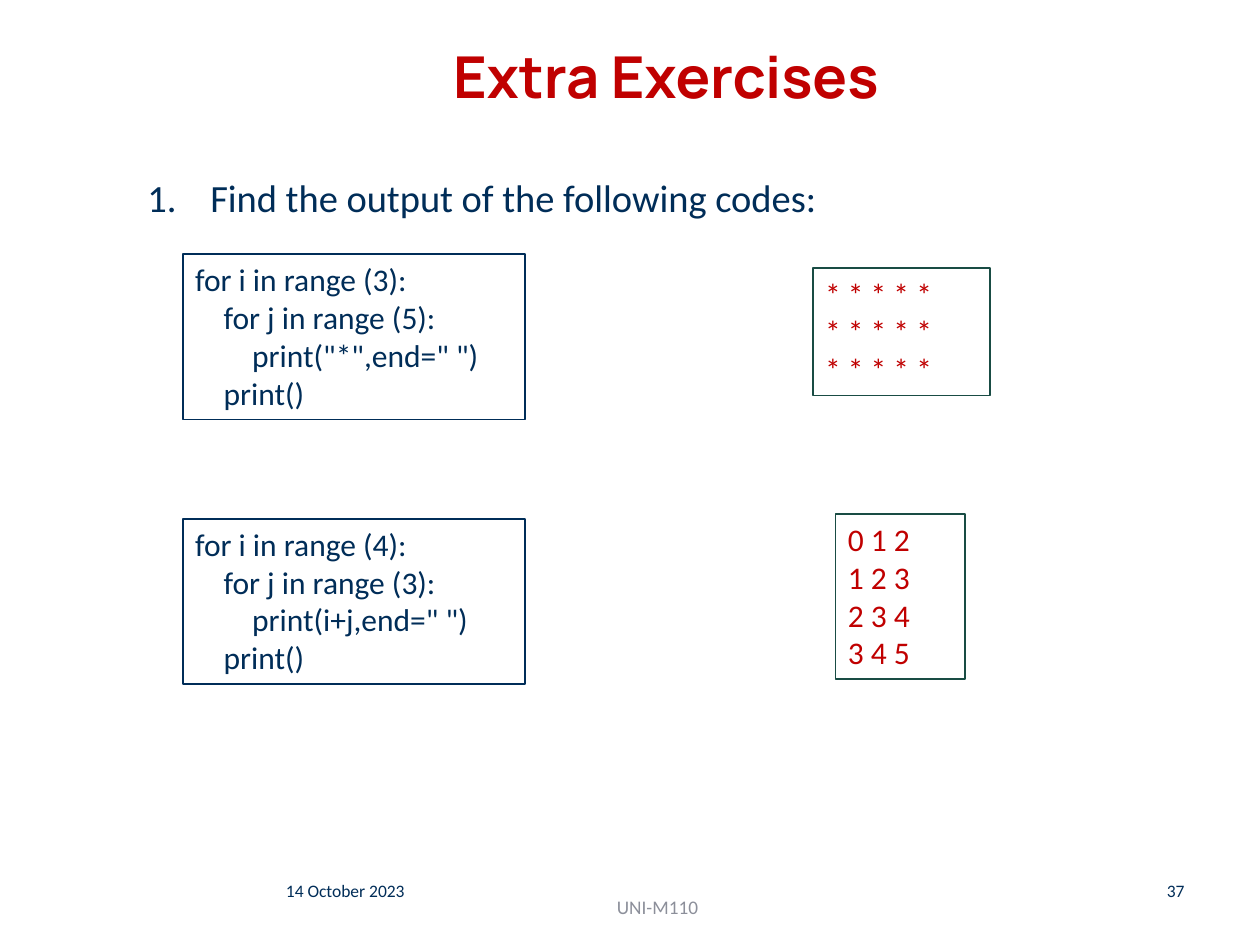
from lxml import etree
from pptx import Presentation
from pptx.dml.color import RGBColor
from pptx.enum.shapes import MSO_SHAPE
from pptx.enum.text import MSO_ANCHOR, MSO_AUTO_SIZE, PP_ALIGN
from pptx.oxml.ns import qn
from pptx.util import Pt

LEFT, CENTER, RIGHT, JUSTIFY = PP_ALIGN.LEFT, PP_ALIGN.CENTER, PP_ALIGN.RIGHT, PP_ALIGN.JUSTIFY
TOP, MIDDLE = MSO_ANCHOR.TOP, MSO_ANCHOR.MIDDLE
NO_FIT = MSO_AUTO_SIZE.NONE
RECTANGLE = MSO_SHAPE.RECTANGLE

NAVY, RED, GREEN, GREY, WHITE = "002D58", "C00000", "194C44", "8C8F9A", "FFFFFF"
CODE_INDENT = 16.3
LIST_INDENT = 36

TITLE = "Extra Exercises"
TASK = "Find the output of the following codes:"
FOOTERS = [
    ("14 October 2023", (139.7, 494.6, 115.2, 28.8), 10, NAVY, CENTER),
    ("UNI-M110", (170.6, 504, 410.4, 28.8), 11, GREY, CENTER),
    ("37", (650.2, 494.6, 33.8, 28.8), 10, NAVY, RIGHT),
]
EXERCISES = [
    {
        "code": [(0, "for i in range (3):"), (1, "for j in range (5):"),
                 (2, 'print("*",end=" ")'), (1, "print()")],
        "code_area": (104.4, 145.4, 195.8, 94.5),
        "output": [(0, "* * * * *")] * 3,
        "output_area": (464.4, 153.4, 101.5, 72.7),
    },
    {
        "code": [(0, "for i in range (4):"), (1, "for j in range (3):"),
                 (2, 'print(i+j,end=" ")'), (1, "print()")],
        "code_area": (104.4, 296.6, 195.8, 94.5),
        "output": [(0, " ".join(str(i + j) for j in range(3))) for i in range(4)],
        "output_area": (477.4, 293.8, 74.2, 94.5),
    },
]


def colour(value):
    return RGBColor.from_string(value)


def place(shape, area):
    shape.left, shape.top, shape.width, shape.height = map(Pt, area)


def write(shape, lines, size, ink, align=LEFT, anchor=TOP, font="Calibri", bold=False):
    frame = shape.text_frame
    frame.text = "\n".join(lines)
    frame.word_wrap = True
    frame.auto_size = NO_FIT
    frame.vertical_anchor = anchor
    for para in frame.paragraphs:
        para.alignment = align
        para.space_before = Pt(0)
        for span in para.runs:
            span.font.name = font
            span.font.size = Pt(size)
            span.font.bold = bold
            span.font.color.rgb = colour(ink)
    return frame


def number(para):
    properties = para._p.get_or_add_pPr()
    properties.set("marL", str(Pt(LIST_INDENT)))
    properties.set("indent", str(-Pt(LIST_INDENT)))
    etree.SubElement(properties, qn("a:buFont"), typeface="+mj-lt")
    etree.SubElement(properties, qn("a:buAutoNum"), type="arabicPeriod")


def add_panel(page, lines, area, ink, outline):
    box = page.shapes.add_shape(RECTANGLE, *map(Pt, area))
    box.shadow.inherit = False
    box.fill.solid()
    box.fill.fore_color.rgb = colour(WHITE)
    box.line.color.rgb = colour(outline)
    box.line.width = Pt(1)
    frame = write(box, [text for _, text in lines], 18, ink)
    for para, (level, _) in zip(frame.paragraphs, lines):
        para._p.get_or_add_pPr().set("marL", str(Pt(level * CODE_INDENT)))


def main():
    deck = Presentation()
    deck.slide_width, deck.slide_height = Pt(720), Pt(541.4)
    page = deck.slides.add_slide(deck.slide_layouts[1])

    title, body = page.placeholders
    place(title, (77, 11.5, 607, 68.4))
    heading = write(title, [TITLE], 33, RED, CENTER, MIDDLE, "Manrope", True)
    heading.paragraphs[0].line_spacing = 0.9
    place(body, (77, 95.8, 607, 33.8))
    number(write(body, [TASK], 22, NAVY, JUSTIFY).paragraphs[0])

    for text, area, size, ink, align in FOOTERS:
        box = page.shapes.add_textbox(*map(Pt, area))
        write(box, [text], size, ink, align, MIDDLE)

    for exercise in EXERCISES:
        add_panel(page, exercise["code"], exercise["code_area"], NAVY, NAVY)
        add_panel(page, exercise["output"], exercise["output_area"], RED, GREEN)

    deck.save("out.pptx")


if __name__ == "__main__":
    main()
